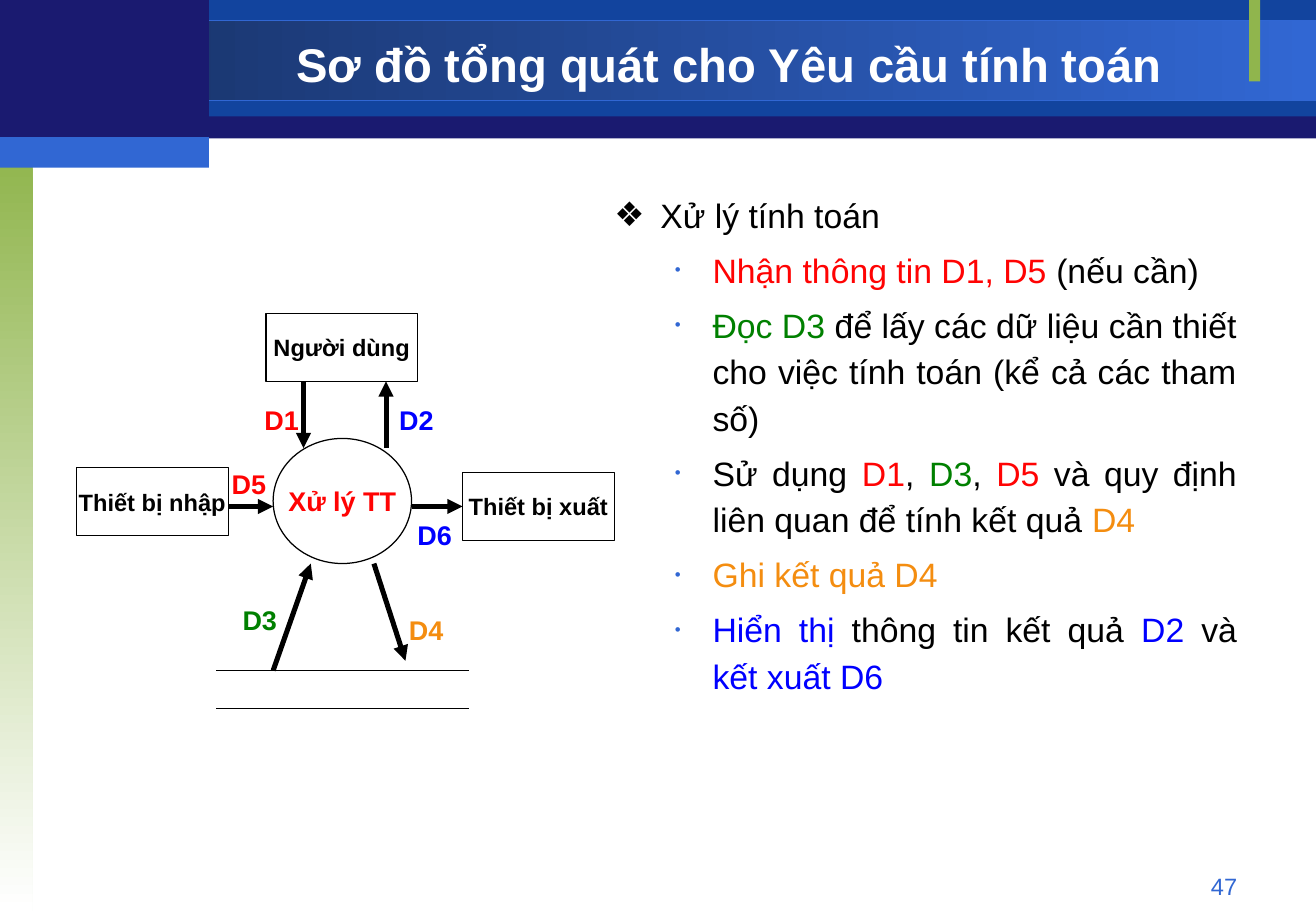
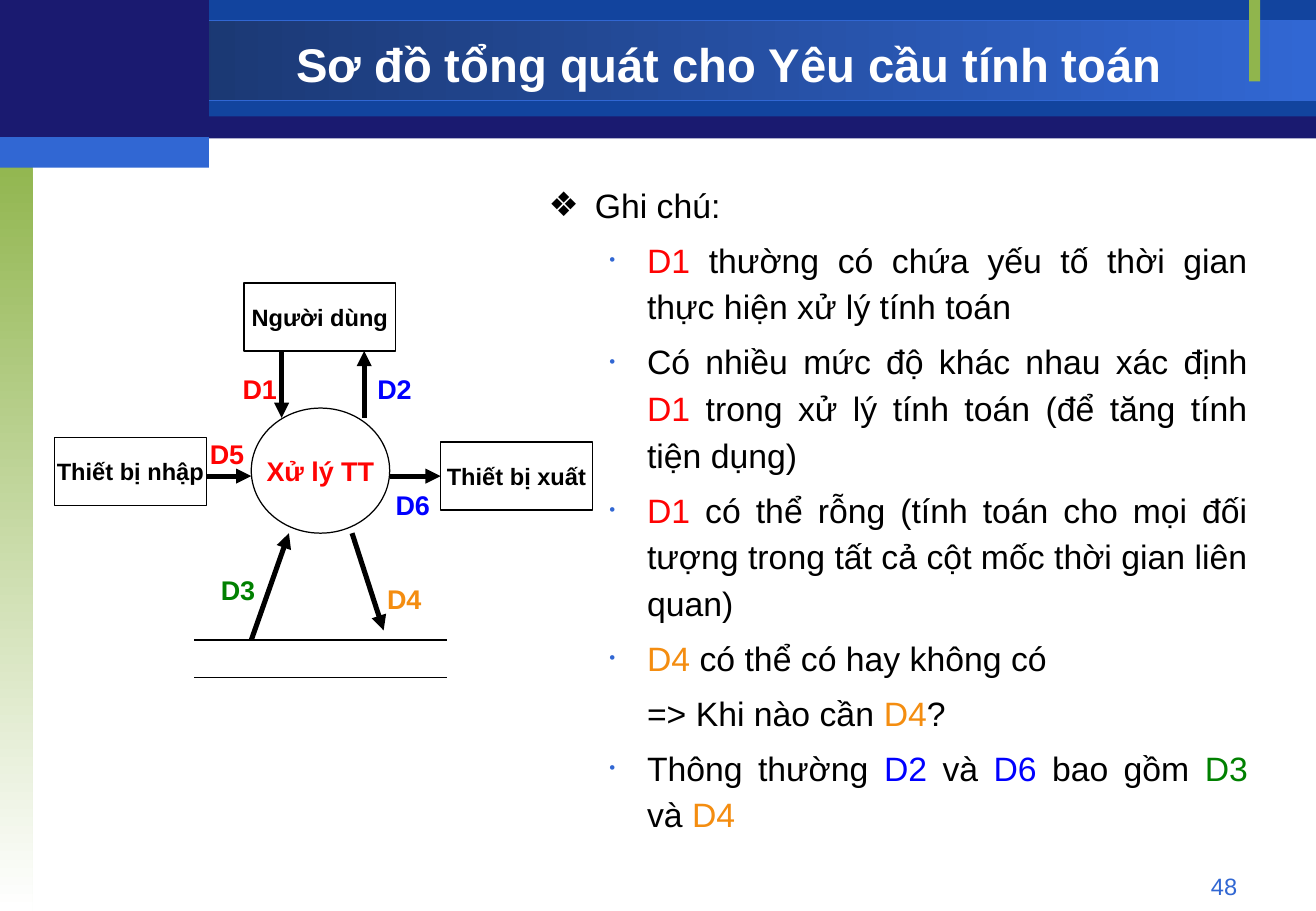
from lxml.etree import SubElement
from pptx import Presentation
from pptx.dml.color import RGBColor
from pptx.enum.shapes import MSO_CONNECTOR, MSO_SHAPE
from pptx.enum.text import MSO_ANCHOR, MSO_AUTO_SIZE, PP_ALIGN
from pptx.oxml.ns import qn
from pptx.util import Inches, Pt

BLACK = RGBColor(0x00, 0x00, 0x00)
WHITE = RGBColor(0xFF, 0xFF, 0xFF)
NAVY = RGBColor(0x1A, 0x1A, 0x70)
ROYAL = RGBColor(0x12, 0x44, 0x9E)
DEEP = RGBColor(0x17, 0x30, 0x62)
SKY = RGBColor(0x31, 0x67, 0xD3)
LEAF = RGBColor(0x90, 0xB5, 0x4D)
RED = RGBColor(0xFF, 0x03, 0x03)
BLUE = RGBColor(0x00, 0x00, 0xFF)
GREEN = RGBColor(0x00, 0x80, 0x00)
ORANGE = RGBColor(0xF4, 0x8D, 0x10)

FONT = "Arial"
SLIDE_W, SLIDE_H = 10.84, 7.5
SIDE_W = 1.72
CONTENT_RIGHT = 10.29
TITLE = "Sơ đồ tổng quát cho Yêu cầu tính toán"

# Header bands and side strip: left, top, width, height, fill (two colours make a gradient), angle
BANDS = [
    (0, 0.01, SLIDE_W, 1.13, [NAVY], 0),
    (SIDE_W, 0, SLIDE_W - SIDE_W, 0.96, [ROYAL], 0),
    (0, 0.17, SLIDE_W, 0.66, [DEEP, SKY], 0),
    (0, 1.25, 0.27, SLIDE_H - 1.25, [LEAF, WHITE], 270),
    (CONTENT_RIGHT, 0, 0.09, 0.67, [LEAF], 0),
    (0, 0, SIDE_W, 1.17, [NAVY], 0),
    (0, 1.13, SIDE_W, 0.25, [SKY], 0),
]

# Diagram parts, measured from the diagram's top left corner
BOX_W, BOX_H = 1.25, 0.56
DEVICES = {"Người dùng": (1.56, 0), "Thiết bị nhập": (0, 1.27), "Thiết bị xuất": (3.18, 1.31)}
PROCESS = (1.62, 1.03, 1.14, 1.03)
STORE_LEFT, STORE_RIGHT, STORE_TOPS = 1.15, 3.23, (2.94, 3.25)
# Data flow: colour, start, end, label corner
FLOWS = {
    "D1": (RED, (1.87, 0.56), (1.87, 1.11), (1.45, 0.69)),
    "D2": (BLUE, (2.55, 1.11), (2.55, 0.56), (2.56, 0.69)),
    "D3": (GREEN, (1.62, 2.94), (1.93, 2.06), (1.27, 2.34)),
    "D4": (ORANGE, (2.45, 2.06), (2.71, 2.86), (2.64, 2.42)),
    "D5": (RED, (1.25, 1.59), (1.62, 1.59), (1.18, 1.22)),
    "D6": (BLUE, (2.76, 1.59), (3.18, 1.59), (2.71, 1.64)),
}

# Each slide: number, diagram corner, list box, heading, points.
# A point is a list of runs: plain text is black, a pair carries its colour.
SLIDES = [
    (47, (0.63, 2.58), (4.96, 1.5, 5.33, 5.5), "Xử lý tính toán", [
        [("Nhận thông tin D1, D5", RED), " (nếu cần)"],
        [("Đọc D3 ", GREEN),
         "để lấy các dữ liệu cần thiết cho việc tính toán (kể cả các tham số)"],
        ["Sử dụng ", ("D1", RED), ", ", ("D3", GREEN), ", ", ("D5", RED),
         " và quy định liên quan để tính kết quả ", ("D4", ORANGE)],
        [("Ghi kết quả D4", ORANGE)],
        [("Hiển thị", BLUE), " thông tin kết quả ", ("D2", BLUE), " và ",
         ("kết xuất D6", BLUE)],
    ]),
    (48, (0.45, 2.33), (4.42, 1.42, 5.96, 5.75), "Ghi chú:", [
        [("D1", RED), " thường có chứa yếu tố thời gian thực hiện xử lý tính toán"],
        ["Có nhiều mức độ khác nhau xác định ", ("D1", RED),
         " trong xử lý tính toán (để tăng tính tiện dụng)"],
        [("D1", RED), " có thể rỗng (tính toán cho mọi đối tượng trong tất cả "
                      "cột mốc thời gian liên quan)"],
        [("D4", ORANGE), " có thể có hay không có"],
        ["=> Khi nào cần ", ("D4", ORANGE), "?"],
        ["Thông thường ", ("D2", BLUE), " và ", ("D6", BLUE), " bao gồm ",
         ("D3", GREEN), " và ", ("D4", ORANGE)],
    ]),
]


def set_format(target, **values):
    for name, value in values.items():
        setattr(target, name, value)


def inches(*lengths):
    return [Inches(round(length, 2)) for length in lengths]


def add_run(paragraph, text, size, color, bold=False):
    run = paragraph.add_run()
    run.text = text
    set_format(run.font, name=FONT, size=Pt(size), bold=bold)
    run.font.color.rgb = color


def write_line(frame, text, size, color, bold=True, align=PP_ALIGN.LEFT, **frame_format):
    set_format(frame, **frame_format)
    paragraph = frame.paragraphs[0]
    paragraph.alignment = align
    add_run(paragraph, text, size, color, bold)


def add_outline(shapes, preset, box, text, size, color):
    outline = shapes.add_shape(preset, *inches(*box))
    outline.shadow.inherit = False
    outline.fill.background()
    outline.line.color.rgb = BLACK
    outline.line.width = Pt(0.75)
    write_line(outline.text_frame, text, size, color, align=PP_ALIGN.CENTER,
               word_wrap=False, vertical_anchor=MSO_ANCHOR.MIDDLE)
    return outline


def add_line(shapes, start, end, width, arrow=False):
    line = shapes.add_connector(MSO_CONNECTOR.STRAIGHT, *inches(*start, *end))
    line.line.color.rgb = BLACK
    line.line.width = Pt(width)
    if arrow:
        SubElement(line.line._get_or_add_ln(), qn("a:tailEnd"), type="triangle")
    SubElement(line.element.spPr, qn("a:effectLst"))
    return line


def add_bands(slide, layout):
    """Draw the bands and hand them to the layout, behind its placeholders."""
    for index, (left, top, width, height, colors, angle) in enumerate(BANDS):
        band = slide.shapes.add_shape(MSO_SHAPE.RECTANGLE, *inches(left, top, width, height))
        band.shadow.inherit = False
        band.line.fill.background()
        if len(colors) == 1:
            band.fill.solid()
            band.fill.fore_color.rgb = colors[0]
        else:
            band.fill.gradient()
            band.fill.gradient_angle = angle
            for stop, color, position in zip(band.fill.gradient_stops, colors, (0, 1)):
                stop.color.rgb = color
                stop.position = position
            if angle == 0:
                band.line.color.rgb = SKY
                band.line.width = Pt(0.75)
        band.element.nvSpPr.cNvPr.set("id", str(100 + index))
        layout.shapes.element.insert(2 + index, band.element)


def place(shape, box):
    set_format(shape, **dict(zip(("left", "top", "width", "height"), inches(*box))))


def add_title(slide):
    title = slide.shapes.title
    place(title, (SIDE_W, 0.23, CONTENT_RIGHT - SIDE_W, 0.58))
    write_line(title.text_frame, TITLE, 28, WHITE, align=PP_ALIGN.CENTER,
               auto_size=MSO_AUTO_SIZE.NONE, vertical_anchor=MSO_ANCHOR.MIDDLE)


def add_number(slide, number):
    box = slide.shapes.add_textbox(*inches(CONTENT_RIGHT - 2.53, 7.13, 2.53, 0.27))
    write_line(box.text_frame, str(number), 14, SKY, bold=False,
               align=PP_ALIGN.RIGHT, word_wrap=True)


def set_bullet(paragraph, margin, hanging, char, color, percent):
    props = paragraph._p.get_or_add_pPr()
    props.set("marL", str(Inches(margin)))
    props.set("indent", str(-Inches(hanging)))
    if not char:
        SubElement(props, qn("a:buNone"))
        return
    SubElement(SubElement(props, qn("a:buClr")), qn("a:srgbClr"), val=str(color))
    SubElement(props, qn("a:buSzPct"), val=str(percent * 1000))
    SubElement(props, qn("a:buFont"), typeface=FONT)
    SubElement(props, qn("a:buChar"), char=char)


def add_points(slide, box, heading, points):
    body = slide.placeholders[1]
    place(body, box)
    frame = body.text_frame
    frame.auto_size = MSO_AUTO_SIZE.NONE
    for index, runs in enumerate([[heading], *points]):
        paragraph = frame.add_paragraph() if index else frame.paragraphs[0]
        if index == 0:
            set_bullet(paragraph, 0.38, 0.38, "❖", BLACK, 100)
        elif str(runs[0]).startswith("=>"):
            set_bullet(paragraph, 0.81, 0, None, None, None)
        else:
            set_bullet(paragraph, 0.81, 0.31, "•", SKY, 50)
        set_format(paragraph, level=min(index, 1), alignment=PP_ALIGN.JUSTIFY,
                   line_spacing=1.15, space_before=Pt(5 if index else 0))
        for run in runs:
            text, color = (run, BLACK) if isinstance(run, str) else run
            add_run(paragraph, text, 20, color)


def add_diagram(slide, left, top):
    shapes = slide.shapes.add_group_shape().shapes

    def at(x, y):
        return left + x, top + y

    # Devices and process
    devices = {name: add_outline(shapes, MSO_SHAPE.RECTANGLE,
                                 (*at(*corner), BOX_W, BOX_H), name, 14, BLACK)
               for name, corner in DEVICES.items()}
    add_outline(shapes, MSO_SHAPE.OVAL, (*at(*PROCESS[:2]), *PROCESS[2:]),
                "Xử lý TT", 16, RED)

    # Data store
    for y in STORE_TOPS:
        add_line(shapes, at(STORE_LEFT, y), at(STORE_RIGHT, y), 0.75)

    # Data flows with their labels
    for name, (color, start, end, corner) in FLOWS.items():
        arrow = add_line(shapes, at(*start), at(*end), 3, arrow=True)
        if name == "D6":
            arrow.end_connect(devices["Thiết bị xuất"], 1)
        label = shapes.add_textbox(*inches(*at(*corner), 0.48, 0.37))
        write_line(label.text_frame, name, 16, color, word_wrap=False,
                   auto_size=MSO_AUTO_SIZE.SHAPE_TO_FIT_TEXT)


def main():
    deck = Presentation()
    deck.slide_width, deck.slide_height = inches(SLIDE_W, SLIDE_H)
    layout = deck.slide_layouts[1]
    for index, (number, corner, box, heading, points) in enumerate(SLIDES):
        slide = deck.slides.add_slide(layout)
        if index == 0:
            add_bands(slide, layout)
        add_number(slide, number)
        add_title(slide)
        add_points(slide, box, heading, points)
        add_diagram(slide, *corner)
    deck.save("out.pptx")


if __name__ == "__main__":
    main()
